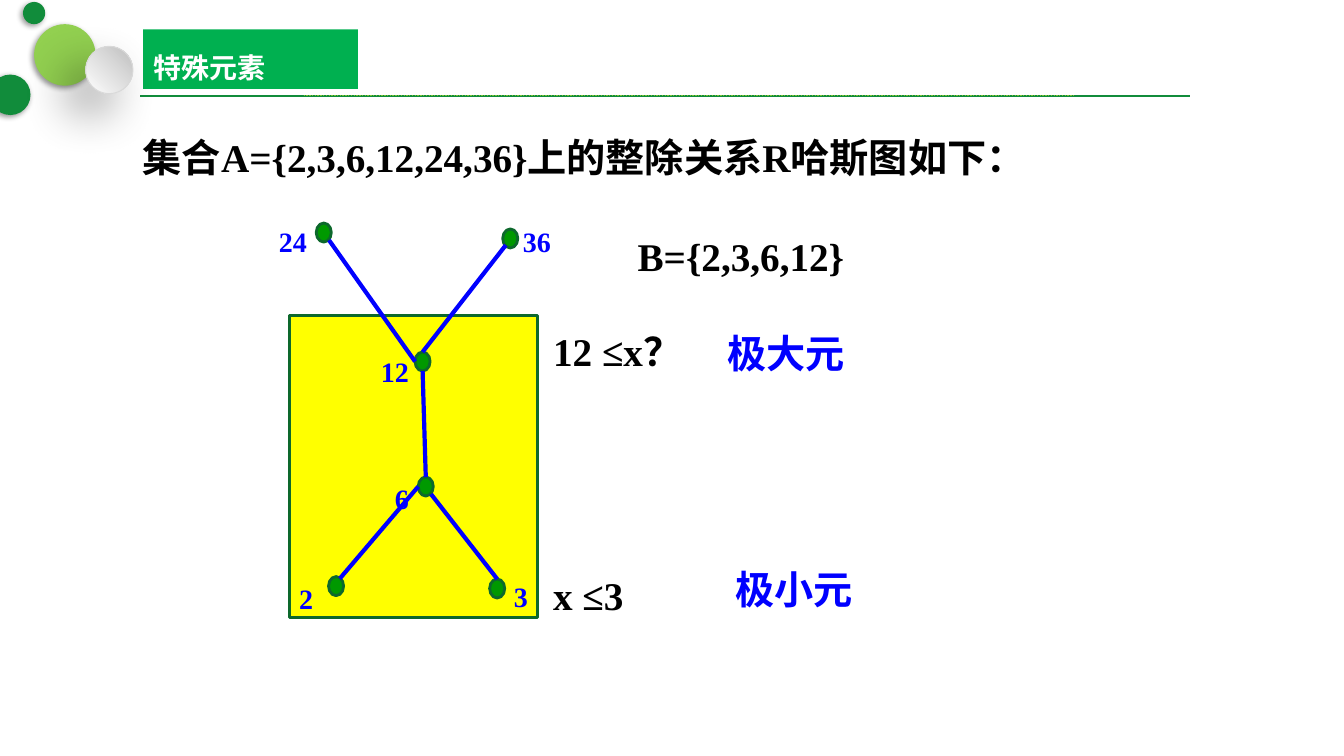
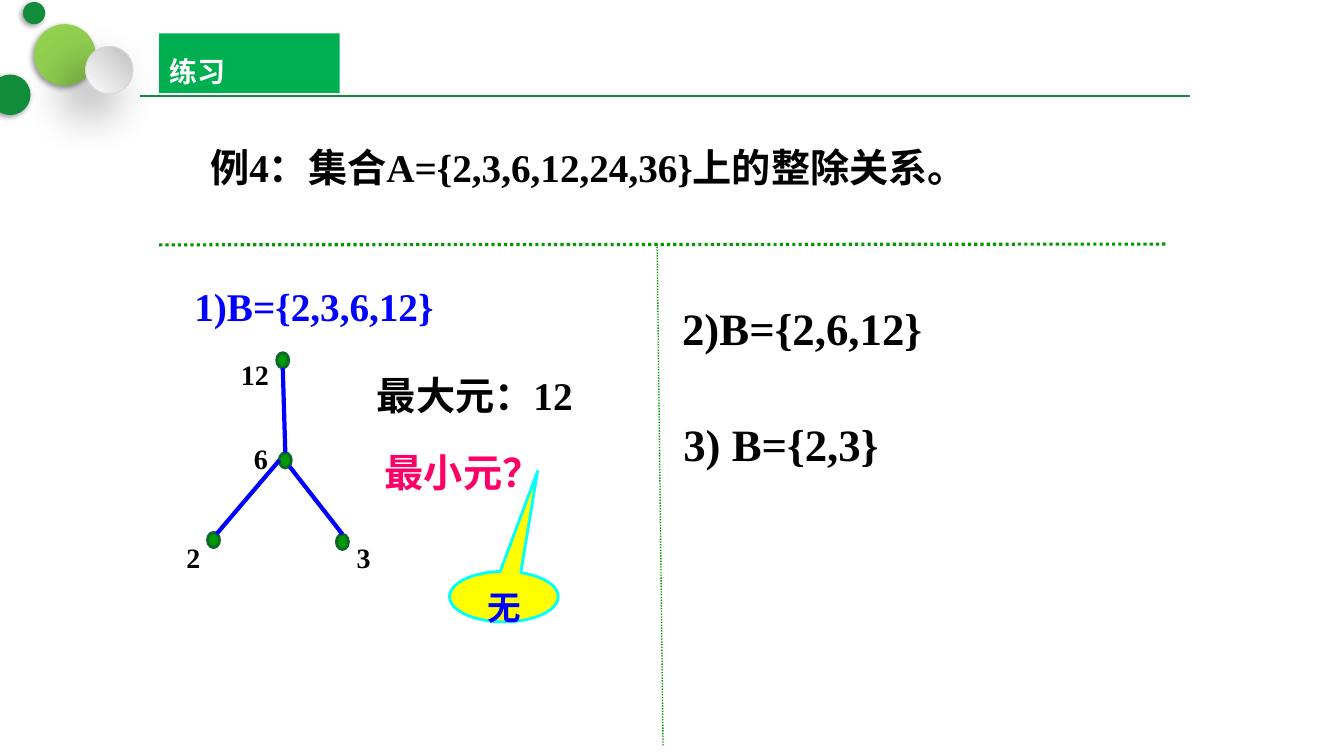
from typing import NamedTuple

from lxml.etree import SubElement
from pptx import Presentation
from pptx.dml.color import RGBColor
from pptx.enum.dml import MSO_LINE
from pptx.enum.shapes import MSO_CONNECTOR, MSO_SHAPE
from pptx.enum.text import MSO_ANCHOR, MSO_AUTO_SIZE, PP_ALIGN
from pptx.oxml.ns import qn
from pptx.util import Cm, Pt

LATIN, CHINESE = "Times New Roman", "Noto Sans CJK SC"
BLACK, WHITE, BLUE, PINK = "000000", "FFFFFF", "0000FF", "FF0066"
YELLOW, CYAN, BANNER = "FFFF00", "00FFFF", "00B050"
GREEN, LIME, DARK_GREEN, NODE_GREEN = "118C3B", "92D050", "0D682C", "009900"


class Circle(NamedTuple):
    left: float
    top: float
    size: float
    fill: str
    blur: float = 4
    distance: float = 2


class Line(NamedTuple):
    start: tuple[float, float]
    end: tuple[float, float]
    color: str
    width: float
    dotted: bool = False


class Label(NamedTuple):
    words: str
    left: float
    top: float
    width: float
    color: str = BLACK
    size: float = 28
    font: str = LATIN


class Edge(NamedTuple):
    """Two nodes and, for each, the point of its outline in half sizes."""
    start: str
    start_side: tuple[float, float]
    end: str
    end_side: tuple[float, float]


CIRCLES = [
    Circle(0.86, 0.61, 1.55, LIME),
    Circle(-0.25, 1.88, 1.02, GREEN),
    Circle(2.16, 1.17, 1.19, WHITE, 35, 20),
    Circle(0.58, 0.05, 0.56, GREEN),
]
HEADER_LINE = Line((3.53, 2.41), (30, 2.41), GREEN, 1.25)

# Node centres of the Hasse diagram, measured in cm from node 6
NODES = {"2": (-2.26, 2.51), "3": (1.8, 2.57), "6": (0, 0),
         "12": (-0.08, -3.15), "24": (-2.57, -6.4), "36": (2.13, -6.25)}
NODE_WIDTH, NODE_HEIGHT = 0.38, 0.48
TOP, BOTTOM, LEFT = (0, -1), (0, 1), (-1, 0)
UPPER_RIGHT, LOWER_RIGHT, LOWER_LEFT = (0.5, -0.8), (0.7, 0.8), (-0.6, 0.7)
EDGES = [
    Edge("2", UPPER_RIGHT, "6", LEFT),
    Edge("3", TOP, "6", LOWER_RIGHT),
    Edge("6", TOP, "12", BOTTOM),
    Edge("12", LEFT, "24", LOWER_RIGHT),
    Edge("12", TOP, "36", LOWER_LEFT),
]


def rgb(color: str) -> RGBColor:
    return RGBColor.from_string(color)


def format_text(frame, words: str, size: float, color: str, font: str,
                alignment=PP_ALIGN.LEFT) -> None:
    frame.text = words
    frame.word_wrap = True
    paragraph = frame.paragraphs[0]
    paragraph.alignment = alignment
    paragraph.line_spacing = 1.5
    for span in paragraph.runs:
        span.font.size = Pt(size)
        span.font.bold = True
        span.font.name = font
        span.font.color.rgb = rgb(color)
        SubElement(span.font._element, qn("a:ea"), typeface=CHINESE)


def add_label(page, label: Label) -> None:
    box = page.shapes.add_textbox(Cm(label.left), Cm(label.top),
                                  Cm(label.width), Cm(label.size * 0.067))
    format_text(box.text_frame, label.words, label.size, label.color, label.font)
    box.text_frame.auto_size = MSO_AUTO_SIZE.SHAPE_TO_FIT_TEXT


def add_shape(page, kind, left: float, top: float, width: float, height: float,
              fill: str, outline: str | None = None):
    shape = page.shapes.add_shape(kind, Cm(left), Cm(top), Cm(width), Cm(height))
    shape.shadow.inherit = False
    shape.fill.solid()
    shape.fill.fore_color.rgb = rgb(fill)
    if outline:
        shape.line.color.rgb = rgb(outline)
        shape.line.width = Pt(2)
    else:
        shape.line.fill.background()
    return shape


def add_line(page, line: Line) -> None:
    connector = page.shapes.add_connector(
        MSO_CONNECTOR.STRAIGHT, *map(Cm, line.start), *map(Cm, line.end))
    connector.line.color.rgb = rgb(line.color)
    connector.line.width = Pt(line.width)
    if line.dotted:
        connector.line.dash_style = MSO_LINE.ROUND_DOT
    SubElement(connector._element.spPr, qn("a:effectLst"))


def add_circle(page, circle: Circle) -> None:
    shape = add_shape(page, MSO_SHAPE.OVAL, circle.left, circle.top,
                      circle.size, circle.size, circle.fill)
    if circle.fill == WHITE:
        shape.fill.gradient()
        shape.fill.gradient_angle = 45
        for stop, color in zip(shape.fill.gradient_stops, (WHITE, "BFBFBF")):
            stop.color.rgb = rgb(color)
        shape.line.color.rgb = rgb("D9D9D9")
        shape.line.width = Pt(0.75)
    effects = shape._element.spPr.find(qn("a:effectLst"))
    shadow = SubElement(effects, qn("a:outerShdw"), blurRad=str(Pt(circle.blur)),
                        dist=str(Pt(circle.distance)), dir=str(135 * 60000),
                        algn="tr", rotWithShape="0")
    shade = SubElement(shadow, qn("a:srgbClr"), val=BLACK)
    SubElement(shade, qn("a:alpha"), val="40000")


def add_page(deck, title: str, left: float, top: float, width: float):
    """Add a page with the shared header and its title in a chevron."""
    page = deck.slides.add_slide(deck.slide_layouts[5])
    add_line(page, HEADER_LINE)
    for circle in CIRCLES:
        add_circle(page, circle)
    banner = page.shapes.title
    banner.left, banner.top = Cm(left), Cm(top)
    banner.width, banner.height = Cm(width), Cm(1.5)
    geometry = SubElement(banner._element.spPr, qn("a:prstGeom"), prst="chevron")
    SubElement(geometry, qn("a:avLst"))
    banner.fill.solid()
    banner.fill.fore_color.rgb = rgb(BANNER)
    format_text(banner.text_frame, title, 20, WHITE, CHINESE)
    banner.text_frame.auto_size = MSO_AUTO_SIZE.NONE
    banner.text_frame.vertical_anchor = MSO_ANCHOR.MIDDLE
    return page


def add_hasse_diagram(page, center: tuple[float, float], scale: float,
                      labels: dict[str, tuple[float, float]], color: str) -> None:
    """Draw the nodes named in labels, which gives each label's corner."""
    width, height = NODE_WIDTH * scale, NODE_HEIGHT * scale
    spots = {name: (center[0] + NODES[name][0] * scale,
                    center[1] + NODES[name][1] * scale) for name in labels}

    def outline_point(name: str, side: tuple[float, float]) -> tuple[float, float]:
        x, y = spots[name]
        return x + side[0] * width / 2, y + side[1] * height / 2

    for x, y in spots.values():
        add_shape(page, MSO_SHAPE.FLOWCHART_CONNECTOR, x - width / 2,
                  y - height / 2, width, height, NODE_GREEN, DARK_GREEN)
    for name, (left, top) in labels.items():
        add_label(page, Label(name, left, top, 1.5, color, 20))
    for edge in EDGES:
        if edge.start in spots and edge.end in spots:
            add_line(page, Line(outline_point(edge.start, edge.start_side),
                                outline_point(edge.end, edge.end_side), BLUE, 3))


def build_special_elements(deck) -> None:
    page = add_page(deck, "特殊元素", 3.61, 0.74, 5.41)
    add_shape(page, MSO_SHAPE.FLOWCHART_PROCESS, 7.29, 7.95, 6.25, 7.62,
              YELLOW, DARK_GREEN)
    add_line(page, Line((7.65, 2.41), (27.05, 2.41), "7EC234", 1, True))
    add_hasse_diagram(page, (10.73, 12.26), 1, {
        "2": (7.29, 14.1), "3": (12.7, 14.05), "6": (9.7, 11.58),
        "12": (9.35, 8.38), "24": (6.78, 5.11), "36": (12.93, 5.11)}, BLUE)
    for label in (
        Label("集合A={2,3,6,12,24,36}上的整除关系R哈斯图如下：", 3.35, 2.64, 24.1),
        Label("B={2,3,6,12}", 15.82, 5.13, 7.67),
        Label("12 ≤x？", 13.69, 7.52, 4.24),
        Label("x ≤3", 13.69, 13.69, 3.43),
        Label("极大元", 18.08, 7.59, 4, BLUE, font=CHINESE),
        Label("极小元", 18.29, 13.54, 4, BLUE, font=CHINESE),
    ):
        add_label(page, label)


def build_exercise(deck) -> None:
    page = add_page(deck, "练习", 4.01, 0.84, 4.55)
    for label in (
        Label("例4：集合A={2,3,6,12,24,36}上的整除关系。", 5.05, 2.9, 22),
        Label("1)B={2,3,6,12}", 4.65, 6.4, 7.4, BLUE),
        Label("最大元：12", 9.25, 8.64, 6.78),
        Label("最小元？", 9.45, 10.59, 4.72, PINK),
        Label("2)B={2,6,12}", 16.94, 6.78, 8.51, size=32),
        Label("3) B={2,3}", 16.97, 9.7, 6.35, size=32),
    ):
        add_label(page, label)
    callout = add_shape(page, MSO_SHAPE.OVAL_CALLOUT, 11.33, 14.4, 2.74, 1.27,
                        YELLOW, CYAN)
    callout.adjustments[0] = 0.31
    callout.adjustments[1] = -2.49
    format_text(callout.text_frame, "无", 24, BLUE, CHINESE, PP_ALIGN.CENTER)
    callout.text_frame.vertical_anchor = MSO_ANCHOR.MIDDLE
    add_line(page, Line((16.56, 6.15), (16.71, 18.82), NODE_GREEN, 1, True))
    add_line(page, Line((4.01, 6.17), (29.41, 6.15), NODE_GREEN, 2.25, True))
    add_hasse_diagram(page, (7.19, 11.6), 0.8, {
        "2": (4.45, 13.08), "3": (8.74, 13.06), "6": (6.15, 10.59),
        "12": (5.82, 8.46)}, BLACK)


def main() -> None:
    deck = Presentation()
    deck.slide_width, deck.slide_height = Cm(33.87), Cm(19.05)
    build_special_elements(deck)
    build_exercise(deck)
    deck.save("out.pptx")


if __name__ == "__main__":
    main()
